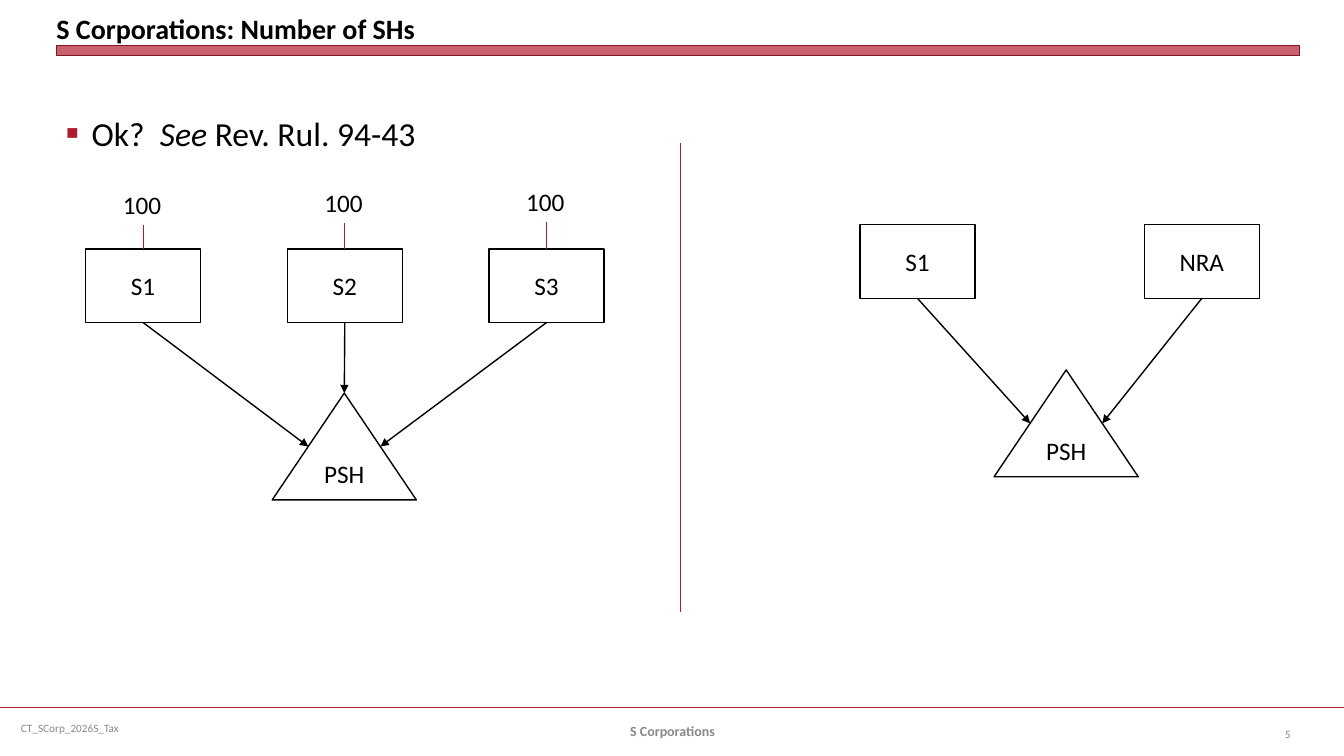
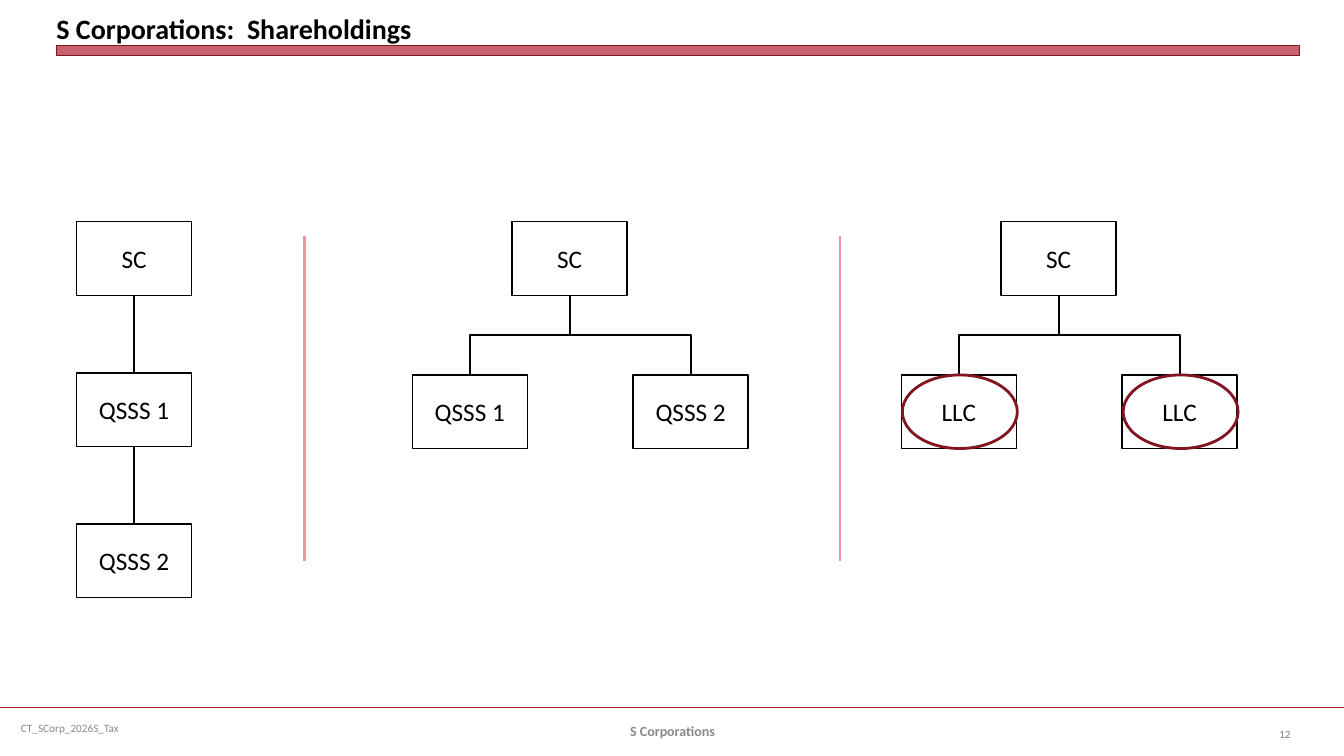
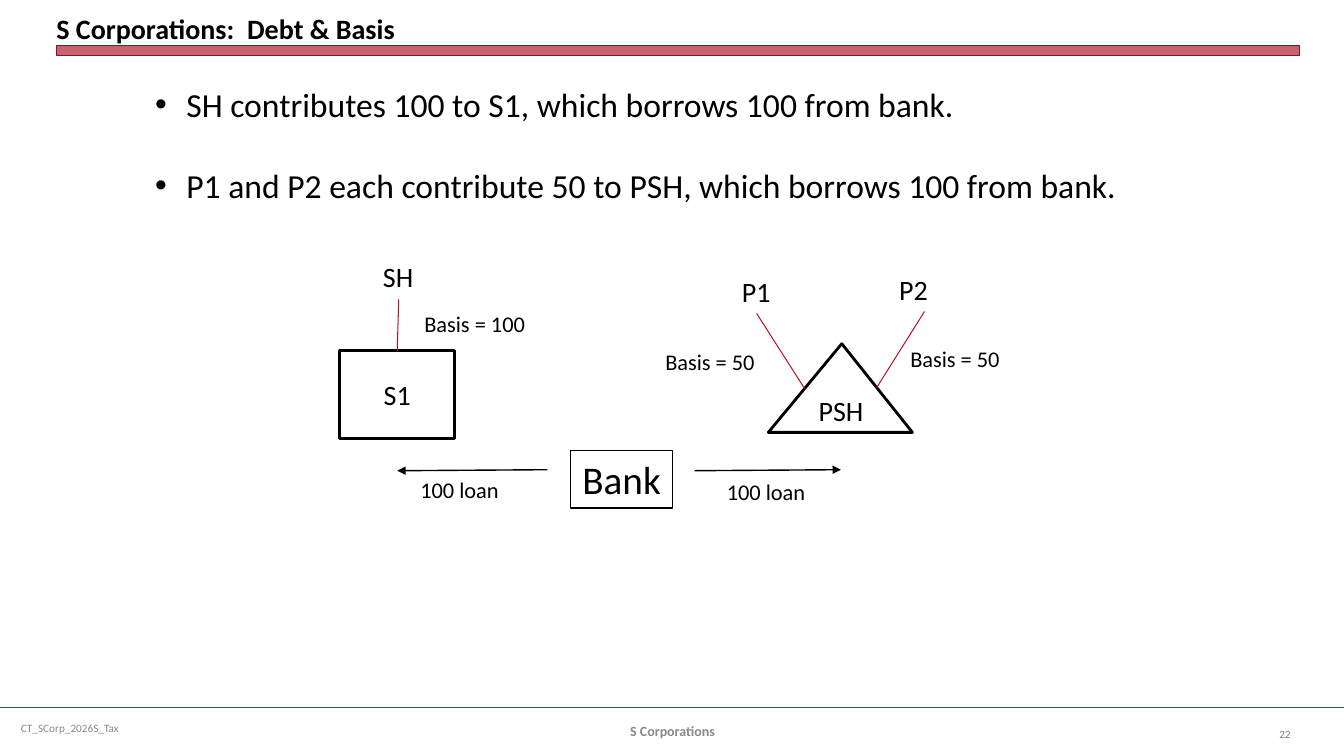
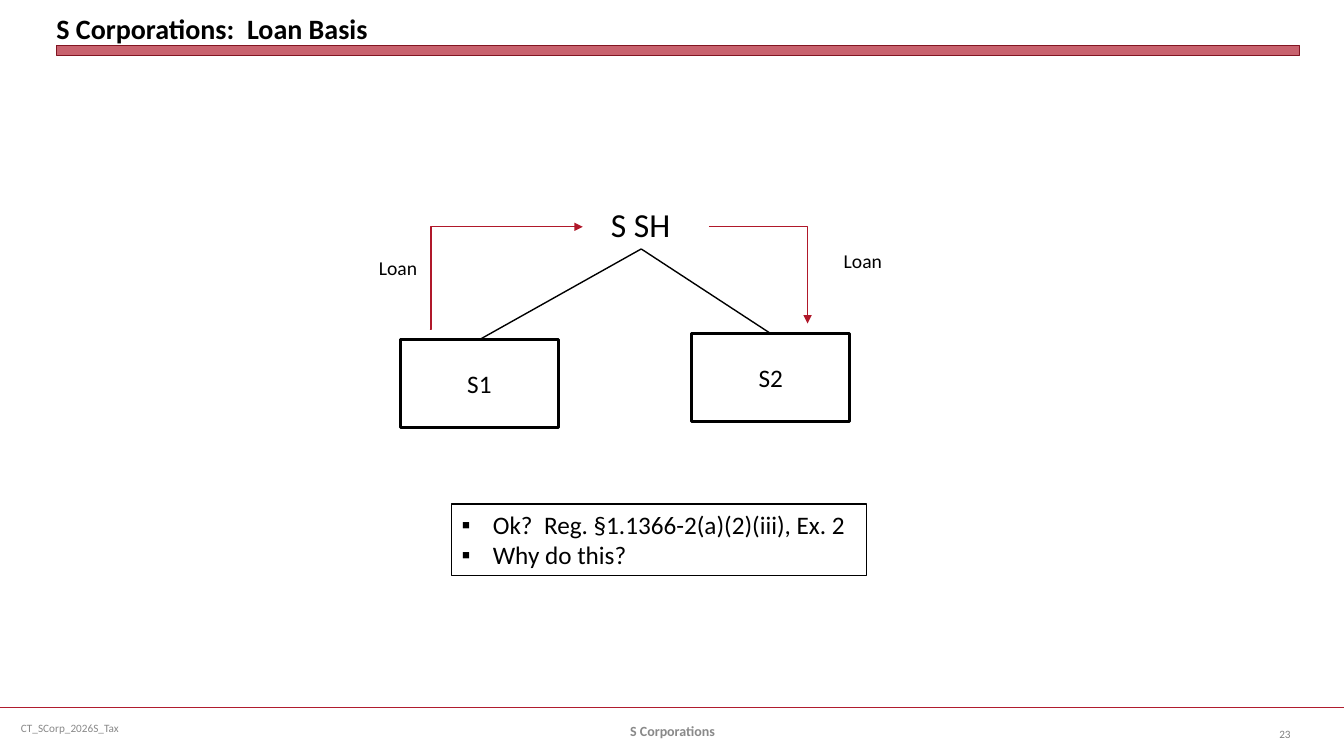
import lxml.etree
import pptx
import pptx.dml.color
import pptx.enum.shapes
import pptx.enum.text
import pptx.oxml.ns
import pptx.util

Inches, Pt = pptx.util.Inches, pptx.util.Pt
RGBColor = pptx.dml.color.RGBColor
SHAPE = pptx.enum.shapes.MSO_SHAPE
CONNECTOR = pptx.enum.shapes.MSO_CONNECTOR
ANCHOR = pptx.enum.text.MSO_ANCHOR
ALIGN = pptx.enum.text.PP_ALIGN
qn = pptx.oxml.ns.qn

# Style
FONT = "Calibri"
BLACK = RGBColor(0x00, 0x00, 0x00)
CRIMSON = RGBColor(0xB0, 0x1C, 0x2E)
RED = RGBColor(0xB0, 0x18, 0x2A)
MAROON = RGBColor(0x82, 0x15, 0x22)
PINK = RGBColor(0xEE, 0x95, 0xA0)
GRAY = RGBColor(0x89, 0x89, 0x89)
PAGE_GRAY = RGBColor(0x80, 0x80, 0x80)
WIDTH, HEIGHT = 13.33, 7.5
MARGIN, CONTENT_W = 0.56, 12.33
BOX_W, BOX_H = 1.14, 0.73
TRI_W, TRI_H = 1.43, 1.06
TOP, BOTTOM = 0, 2  # connection sites


def add_xml(parent, tag, **attrs):
    return lxml.etree.SubElement(parent, qn(tag), attrs)


def write(tf, text, size=18, color=BLACK, bold=False, align=ALIGN.LEFT,
          anchor=ANCHOR.TOP, wrap=True, gap=0, bullet=None, indent=0.31,
          bullet_color=None, bullet_size=None):
    """Text is a string or a list of paragraphs; a paragraph is a string
    or a list of (text, italic) runs."""
    tf.word_wrap = wrap
    tf.auto_size = pptx.enum.text.MSO_AUTO_SIZE.NONE
    tf.vertical_anchor = anchor
    for i, para in enumerate([text] if isinstance(text, str) else text):
        p = tf.add_paragraph() if i else tf.paragraphs[0]
        p.alignment = align
        if i and gap:
            p.space_before = Pt(gap)
        for words, italic in [(para, False)] if isinstance(para, str) else para:
            r = p.add_run()
            r.text = words
            r.font.name, r.font.size = FONT, Pt(size)
            r.font.bold, r.font.italic = bold, italic
            r.font.color.rgb = color
        if bullet:
            pPr = p._p.get_or_add_pPr()
            pPr.set("marL", str(Inches(indent)))
            pPr.set("indent", str(-Inches(indent)))
            if bullet_color:
                add_xml(add_xml(pPr, "a:buClr"), "a:srgbClr", val=str(bullet_color))
            if bullet_size:
                add_xml(pPr, "a:buSzPct", val=str(bullet_size * 1000))
            add_xml(pPr, "a:buFont", typeface="Arial")
            add_xml(pPr, "a:buChar", char=bullet)


class Deck:
    def __init__(self):
        self.prs = pptx.Presentation()
        self.prs.slide_width, self.prs.slide_height = Inches(WIDTH), Inches(HEIGHT)
        self.s = None

    def slide(self, title, number):
        """Start a slide with its title, band and footer."""
        self.s = self.prs.slides.add_slide(self.prs.slide_layouts[5])
        sp = self.s.shapes.title
        sp.left, sp.top = Inches(MARGIN), Inches(0.05)
        sp.width, sp.height = Inches(CONTENT_W), Inches(0.4)
        tf = sp.text_frame
        tf.margin_left = tf.margin_right = tf.margin_top = tf.margin_bottom = 0
        write(tf, title, size=20, bold=True, anchor=ANCHOR.BOTTOM)

        band = self.box(MARGIN, 0.45, w=CONTENT_W, h=0.1, line=MAROON, weight=0)
        band.fill.solid()
        band.fill.fore_color.rgb = CRIMSON
        rgb = band._element.spPr.find(qn("a:solidFill")).find(qn("a:srgbClr"))
        add_xml(rgb, "a:alpha", val="69000")

        self.line((0, 7.02), (WIDTH, 7.02), CRIMSON, 1.25)
        footer = dict(anchor=ANCHOR.MIDDLE)
        self.label(0.11, 7.02, 3.44, 0.4, "CT_SCorp_2026S_Tax", size=8,
                   color=GRAY, **footer)
        self.label(4.56, 7.05, 4.22, 0.4, "S Corporations", size=10, color=GRAY,
                   bold=True, align=ALIGN.CENTER, **footer)
        self.label(12.23, 7.08, 0.67, 0.4, str(number), size=8, color=PAGE_GRAY,
                   align=ALIGN.RIGHT, **footer)

    def label(self, x, y, w, h, text, **fmt):
        sp = self.s.shapes.add_textbox(Inches(x), Inches(y), Inches(w), Inches(h))
        write(sp.text_frame, text, **fmt)
        return sp

    def box(self, x, y, text=None, w=BOX_W, h=BOX_H, kind=SHAPE.RECTANGLE,
            line=BLACK, weight=1, **fmt):
        """Outlined shape with centred text."""
        sp = self.s.shapes.add_shape(kind, Inches(x), Inches(y), Inches(w), Inches(h))
        sp.shadow.inherit = False
        sp.fill.background()
        sp.line.color.rgb, sp.line.width = line, Pt(weight)
        if text:
            write(sp.text_frame, text, **{"align": ALIGN.CENTER,
                                          "anchor": ANCHOR.MIDDLE, **fmt})
        return sp

    def triangle(self, x, y, text, h=TRI_H, **fmt):
        """Triangle, with the middles of its two slopes."""
        sp = self.box(x, y, text, w=TRI_W, h=h, kind=SHAPE.ISOSCELES_TRIANGLE, **fmt)
        return sp, (x + TRI_W / 4, y + h / 2), (x + TRI_W * 3 / 4, y + h / 2)

    def line(self, begin, end, color=BLACK, weight=1, arrow=False,
             kind=CONNECTOR.STRAIGHT):
        """Each end is an (x, y) point or a (shape, site) pair."""
        joined = [not isinstance(e[0], (int, float)) for e in (begin, end)]
        (x1, y1), (x2, y2) = [(0, 0) if j else e for j, e in zip(joined, (begin, end))]
        cxn = self.s.shapes.add_connector(kind, Inches(x1), Inches(y1),
                                          Inches(x2), Inches(y2))
        if joined[0]:
            cxn.begin_connect(*begin)
        if joined[1]:
            cxn.end_connect(*end)
        cxn.line.color.rgb, cxn.line.width = color, Pt(weight)
        spPr = cxn._element.spPr
        if arrow:
            add_xml(spPr.find(qn("a:ln")), "a:tailEnd", type="triangle")
        add_xml(spPr, "a:effectLst")
        return cxn

    def elbow(self, begin, end, bend, **fmt):
        """Elbow that leaves sideways and turns at a share of its width."""
        cxn = self.line(begin, end, kind=CONNECTOR.ELBOW, **fmt)
        geom = cxn._element.spPr.find(qn("a:prstGeom"))
        av = geom.find(qn("a:avLst"))
        add_xml(geom if av is None else av, "a:gd", name="adj1",
                fmla=f"val {round(bend * 100000)}")

    def branch(self, begin, end):
        """Elbow that leaves downwards: a sideways one, turned."""
        (x1, y1), (x2, y2) = begin, end
        cx, cy = (x1 + x2) / 2, (y1 + y2) / 2
        half_w, half_h = (y2 - y1) / 2, abs(x2 - x1) / 2
        cxn = self.line((cx - half_w, cy - half_h), (cx + half_w, cy + half_h),
                        weight=1.5, kind=CONNECTOR.ELBOW)
        xfrm = cxn._element.spPr.find(qn("a:xfrm"))
        xfrm.set("rot", str((90 if x2 < x1 else 270) * 60000))
        if x2 > x1:
            xfrm.set("flipH", "1")

    def tree(self, x, names):
        """Parent box with two children; returns the children's lefts."""
        y, child_y = 2.2, 3.72
        self.box(x, y, "SC")
        lefts = [x - 0.99, x + 1.2]
        for left, name in zip(lefts, names):
            self.box(left, child_y, name)
            self.branch((x + BOX_W / 2, y + BOX_H), (left + BOX_W / 2, child_y))
        return lefts


def number_of_shareholders(d):
    d.slide("S Corporations: Number of SHs", 5)
    d.label(MARGIN, 1.07, 6, 0.5,
            [[("Ok?  ", False), ("See ", True), ("Rev. Rul. 94-43", False)]],
            size=24, bullet="■", indent=0.25, bullet_color=CRIMSON, bullet_size=60)

    # Three corporations in a partnership
    psh, left, right = d.triangle(2.7, 3.9, "PSH")
    owners = [("S1", 1.83, left), ("S2", 1.81, (psh, TOP)), ("S3", 1.8, right)]
    for i, (name, label_y, target) in enumerate(owners):
        x = 0.85 + 2 * i
        box = d.box(x, 2.47, name)
        count = d.label(x + 0.27, label_y, 0.6, 0.4, "100", wrap=False)
        d.line((count, BOTTOM), (box, TOP), RED, 0.75)
        d.line((box, BOTTOM), target, arrow=True)

    d.line((6.75, 1.42), (6.75, 6.07), RED, 0.75)

    # Corporation and nonresident in a partnership
    psh, left, right = d.triangle(9.86, 3.67, "PSH")
    for x, name, target in [(8.53, "S1", left), (11.35, "NRA", right)]:
        d.line((d.box(x, 2.23, name), BOTTOM), target, arrow=True)


def shareholdings(d):
    d.slide("S Corporations:  Shareholdings", 12)

    # Chain
    above = None
    for i, name in enumerate(["SC", "QSSS 1", "QSSS 2"]):
        box = d.box(0.76, 2.2 + 1.5 * i, name)
        if above:
            d.line((above, BOTTOM), (box, TOP), weight=1.5)
        above = box

    # Trees
    d.tree(5.08, ["QSSS 1", "QSSS 2"])
    for left in d.tree(9.93, ["LLC", "LLC"]):
        d.box(left + 0.01, 3.72, kind=SHAPE.OVAL, line=MAROON, weight=2)

    for x in (3.02, 8.33):
        d.line((x, 2.34), (x, 5.57), PINK, 1.5)


def debt_and_basis(d):
    d.slide("S Corporations:  Debt & Basis", 22)
    d.label(1.44, 0.78, 9.87, 1.31,
            ["SH contributes 100 to S1, which borrows 100 from bank.",
             "P1 and P2 each contribute 50 to PSH, which borrows 100 from bank."],
            size=24, bullet="•", gap=29)

    # Entities and owners
    s1 = d.box(3.37, 3.48, "S1", h=0.87, weight=2, size=20)
    psh, left, right = d.triangle(7.62, 3.41, "PSH", h=0.88, weight=2, size=20)
    psh.adjustments[0] = 0.51
    for x, y, w, name, target in [(3.7, 2.53, 0.51, "SH", (s1, TOP)),
                                  (7.26, 2.67, 0.49, "P1", left),
                                  (8.82, 2.65, 0.7, "P2", right)]:
        owner = d.label(x, y, w, 0.44, name, size=20)
        d.line((owner, BOTTOM), target, RED, 0.75)

    # Bank and loans
    d.box(5.66, 4.47, "Bank", w=1.01, h=0.57, size=28, wrap=False)
    d.line((5.43, 4.66), (3.94, 4.67), arrow=True)
    d.line((6.89, 4.67), (8.34, 4.66), arrow=True)
    for x, y, w, text in [(4.11, 3.03, 1.21, "Basis = 100"),
                          (6.5, 3.4, 1.1, "Basis = 50"),
                          (8.93, 3.38, 1.1, "Basis = 50"),
                          (4.07, 4.67, 0.99, "100 loan"),
                          (7.11, 4.69, 0.99, "100 loan")]:
        d.label(x, y, w, 0.37, text, size=16, wrap=False)


def loan_basis(d):
    d.slide("S Corporations:  Loan Basis", 23)

    # Shareholder and corporations
    holder = d.label(5.96, 1.97, 0.8, 0.5, "S SH", size=24, wrap=False)
    for x, y, name in [(3.97, 3.37, "S1"), (6.86, 3.31, "S2")]:
        box = d.box(x, y, name, w=1.57, h=0.87, weight=2)
        d.line((holder, BOTTOM), (box, TOP))

    # Loans
    loan = dict(color=RED, weight=0.75, arrow=True)
    d.elbow((4.26, 3.27), (5.78, 2.25), 0.01, **loan)
    d.elbow((7.03, 2.25), (8.01, 3.21), 1, **loan)
    for x, y in [(3.66, 2.49), (8.27, 2.42)]:
        d.label(x, y, 0.63, 0.34, "Loan", size=14, wrap=False)

    d.box(4.48, 5, ["Ok?  Reg. §1.1366-2(a)(2)(iii), Ex. 2", "Why do this?"],
          w=4.11, h=0.71, weight=0.75, bullet="▪", align=ALIGN.LEFT)


def main():
    d = Deck()
    number_of_shareholders(d)
    shareholdings(d)
    debt_and_basis(d)
    loan_basis(d)
    d.prs.save("out.pptx")


if __name__ == "__main__":
    main()
